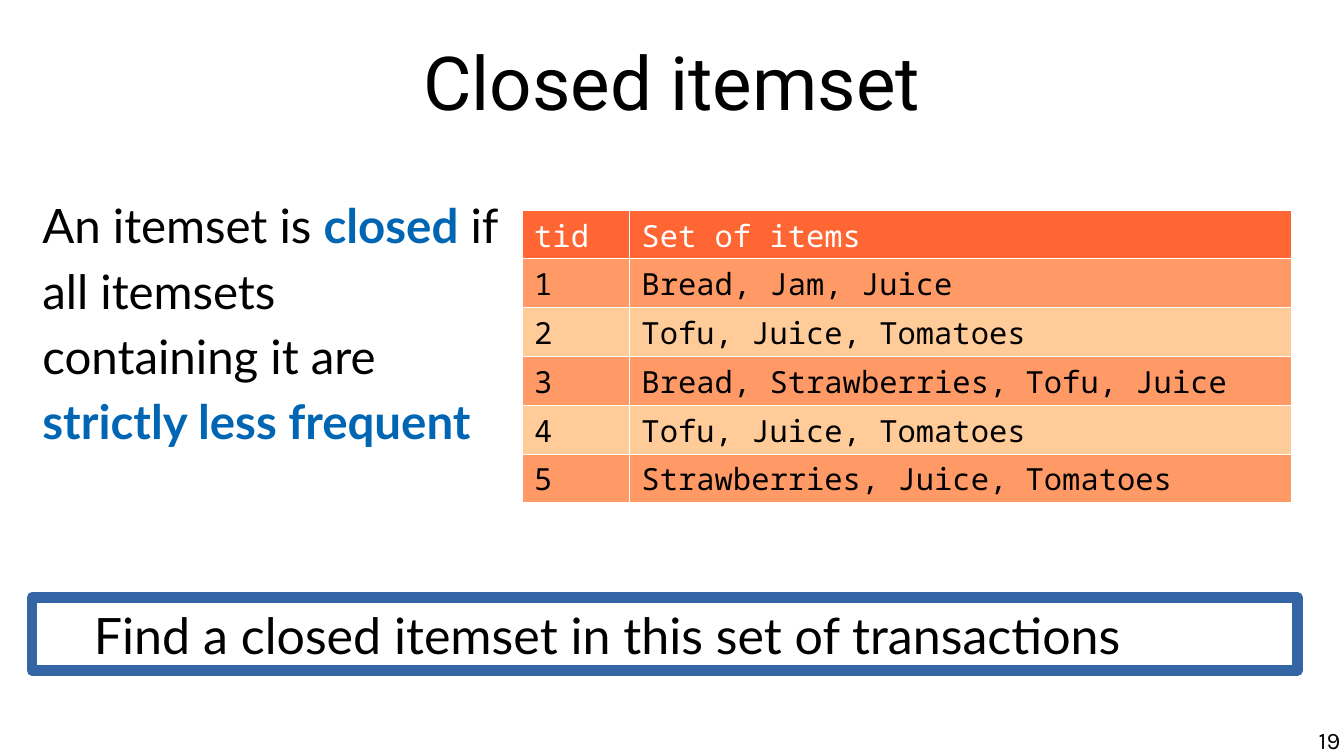
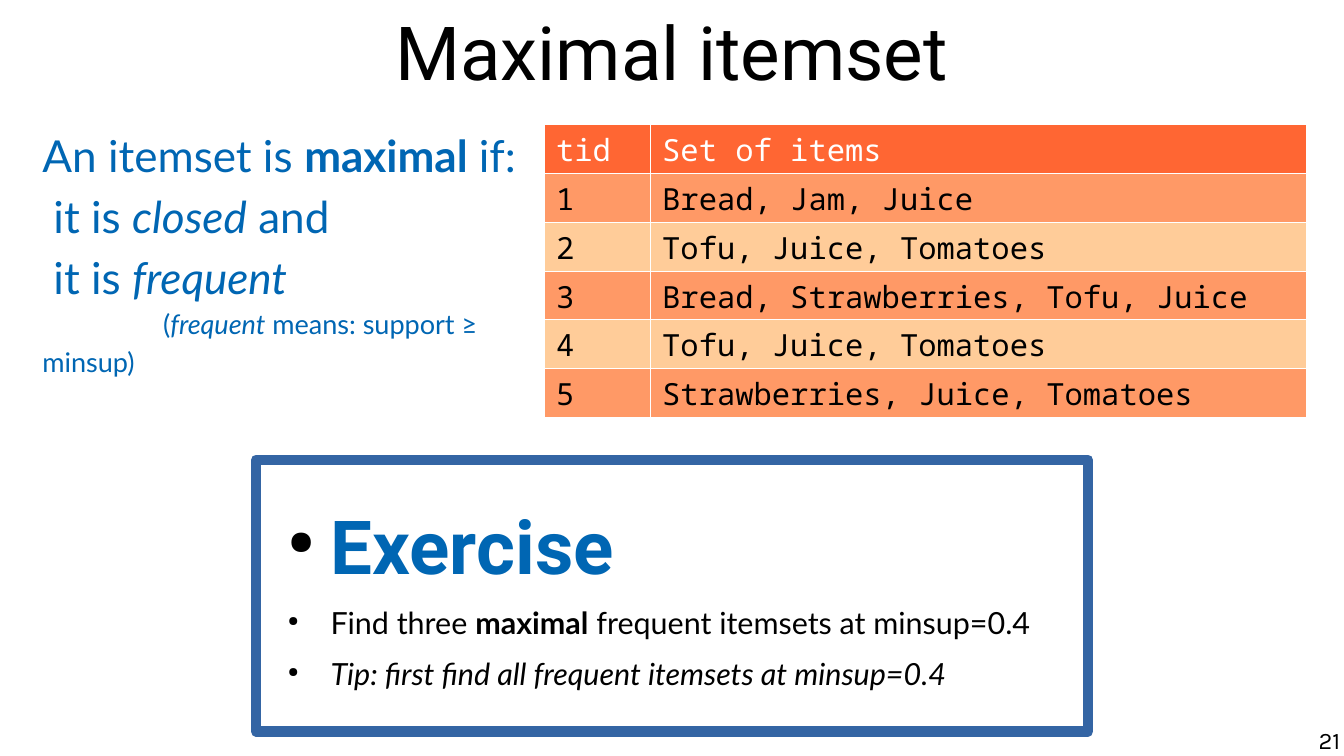
from lxml.etree import SubElement
from pptx import Presentation
from pptx.dml.color import RGBColor
from pptx.enum.shapes import MSO_SHAPE
from pptx.enum.text import MSO_ANCHOR as Anchor, PP_ALIGN as Align
from pptx.oxml.ns import qn
from pptx.util import Inches, Pt

COLORS = {
    "text": "000000",
    "accent": "0066B3",
    "frame": "3465A4",
    "white": "FFFFFF",
    "header": "FF6633",
    "odd": "FF9966",
    "even": "FFCC99",
}
RGB = {name: RGBColor.from_string(value) for name, value in COLORS.items()}

TRANSACTIONS = [
    ("tid", "Set of items"),
    ("1", "Bread, Jam, Juice"),
    ("2", "Tofu, Juice, Tomatoes"),
    ("3", "Bread, Strawberries, Tofu, Juice"),
    ("4", "Tofu, Juice, Tomatoes"),
    ("5", "Strawberries, Juice, Tomatoes"),
]
ROW_HEIGHT = 0.4
BOLD = {"bold": True}
ITALIC = {"italic": True}
KEYWORD = {"bold": True, "color": "accent"}


def add_box(slide, at, margins=(0, 0), anchor=Anchor.TOP, framed=False):
    """Add a text area, with a thick blue frame if framed; return its text frame."""
    place = [Inches(length) for length in at]
    if framed:
        box = slide.shapes.add_shape(MSO_SHAPE.RECTANGLE, *place)
        box.shadow.inherit = False
        box.fill.background()
        box.line.color.rgb = RGB["frame"]
        box.line.width = Pt(6)
        SubElement(box.line._get_or_add_ln(), qn("a:round"))
    else:
        box = slide.shapes.add_textbox(*place)
    frame = box.text_frame
    frame.word_wrap = True
    frame.vertical_anchor = anchor
    frame.margin_left = frame.margin_right = Inches(margins[0])
    frame.margin_top = frame.margin_bottom = Inches(margins[1])
    return frame


def write(frame, *runs, font="Lato", size=18, color="text", align=Align.LEFT,
          spacing=1.0, before=0, left=0, first=0, bullet=False):
    """Append a paragraph; a run is a string or a (string, format) pair."""
    paragraph = frame.paragraphs[0]
    if paragraph.runs:
        paragraph = frame.add_paragraph()
    properties = paragraph._p.get_or_add_pPr()
    properties.set("marL", str(Inches(left)))
    properties.set("indent", str(Inches(first)))
    if bullet:
        bullet_color = SubElement(properties, qn("a:buClr"))
        SubElement(bullet_color, qn("a:srgbClr"), val=COLORS["text"])
        SubElement(properties, qn("a:buSzPct"), val="45000")
        SubElement(properties, qn("a:buChar"), char="●")
    paragraph.alignment = align
    paragraph.line_spacing = spacing
    paragraph.space_before = Pt(before)
    for item in runs:
        text, style = (item, {}) if isinstance(item, str) else item
        run = paragraph.add_run()
        run.text = text
        run.font.name = font
        run.font.size = Pt(size)
        run.font.bold = style.get("bold", False)
        run.font.italic = style.get("italic", False)
        run.font.color.rgb = RGB[style.get("color", color)]


deck = Presentation()
deck.slide_width, deck.slide_height = Inches(11.02), Inches(6.2)

# Shared parts: title, transaction table, page number
layouts = [
    ("Closed itemset", 0.23, "19", (4.28, 1.72), (0.88, 5.43)),
    ("Maximal itemset", -0.01, "21", (4.46, 1.02), (0.87, 5.38)),
]
slides = []
for title, title_top, page, (left, top), widths in layouts:
    slide = deck.slides.add_slide(deck.slide_layouts[6])
    slides.append(slide)
    heading = add_box(slide, (0.55, title_top, 9.92, 0.86), anchor=Anchor.MIDDLE)
    write(heading, title, font="Roboto", size=44, align=Align.CENTER)

    table = slide.shapes.add_table(
        len(TRANSACTIONS), 2, Inches(left), Inches(top),
        Inches(sum(widths)), Inches(ROW_HEIGHT * len(TRANSACTIONS))).table
    for column, width in zip(table.columns, widths):
        column.width = Inches(width)
    for row, values in enumerate(TRANSACTIONS):
        table.rows[row].height = Inches(ROW_HEIGHT)
        band = "header" if row == 0 else "odd" if row % 2 else "even"
        for column, value in enumerate(values):
            cell = table.cell(row, column)
            cell.margin_left = cell.margin_right = Inches(0.1)
            cell.margin_top, cell.margin_bottom = Inches(0.04), Inches(0.01)
            write(cell.text_frame, value, font="Noto Sans Mono",
                  color="text" if row else "white")
            cell_properties = cell._tc.get_or_add_tcPr()
            for side in ("lnL", "lnR", "lnT", "lnB"):
                border = SubElement(cell_properties, qn(f"a:{side}"), w=str(Pt(0.06)))
                border_fill = SubElement(border, qn("a:solidFill"))
                SubElement(border_fill, qn("a:srgbClr"), val=COLORS["white"])
            cell.fill.solid()
            cell.fill.fore_color.rgb = RGB[band]

    page_number = add_box(slide, (8.42, 5.95, 2.57, 0.25))
    write(page_number, page, font="Karla", size=14, align=Align.RIGHT)

closed_slide, maximal_slide = slides

# Closed itemset
definition = add_box(closed_slide, (0.25, 1.49, 3.94, 2.71), (0.1, 0.05))
write(definition, "An itemset is ", ("closed", KEYWORD),
      " if all itemsets containing it are ", ("strictly less frequent", KEYWORD),
      size=28, spacing=1.15)

task = add_box(closed_slide, (0.26, 4.9, 10.38, 0.6), (0.04, 0.04),
               anchor=Anchor.MIDDLE, framed=True)
write(task, "Find a closed itemset in this set of transactions", size=29.6, left=0.47)

# Maximal itemset
definition = add_box(maximal_slide, (0.25, 0.94, 4.17, 2.29), (0.1, 0.05))
blue = {"color": "accent", "spacing": 1.15}
write(definition, "An itemset is ", ("maximal ", BOLD), "if:", size=26, **blue)
write(definition, "it is ", ("closed", ITALIC), " and", size=26, left=0.09, **blue)
write(definition, "it is ", ("frequent", ITALIC), size=26, left=0.09, **blue)
write(definition, "(", ("frequent", ITALIC), " means: support ≥ minsup)",
      size=16, first=0.99, **blue)

exercise = add_box(maximal_slide, (2.1, 3.77, 6.82, 2.23), (0.14, 0.09),
                   anchor=Anchor.MIDDLE, framed=True)
item = {"left": 0.47, "first": -0.35, "bullet": True}
write(exercise, ("Exercise", KEYWORD), font="Roboto", size=44, **item)
write(exercise, "Find three ", ("maximal", BOLD),
      " frequent itemsets at minsup=0.4", before=8.7, **item)
write(exercise, ("Tip: first find all frequent itemsets at minsup=0.4", ITALIC),
      before=8.7, **item)

deck.save("out.pptx")
